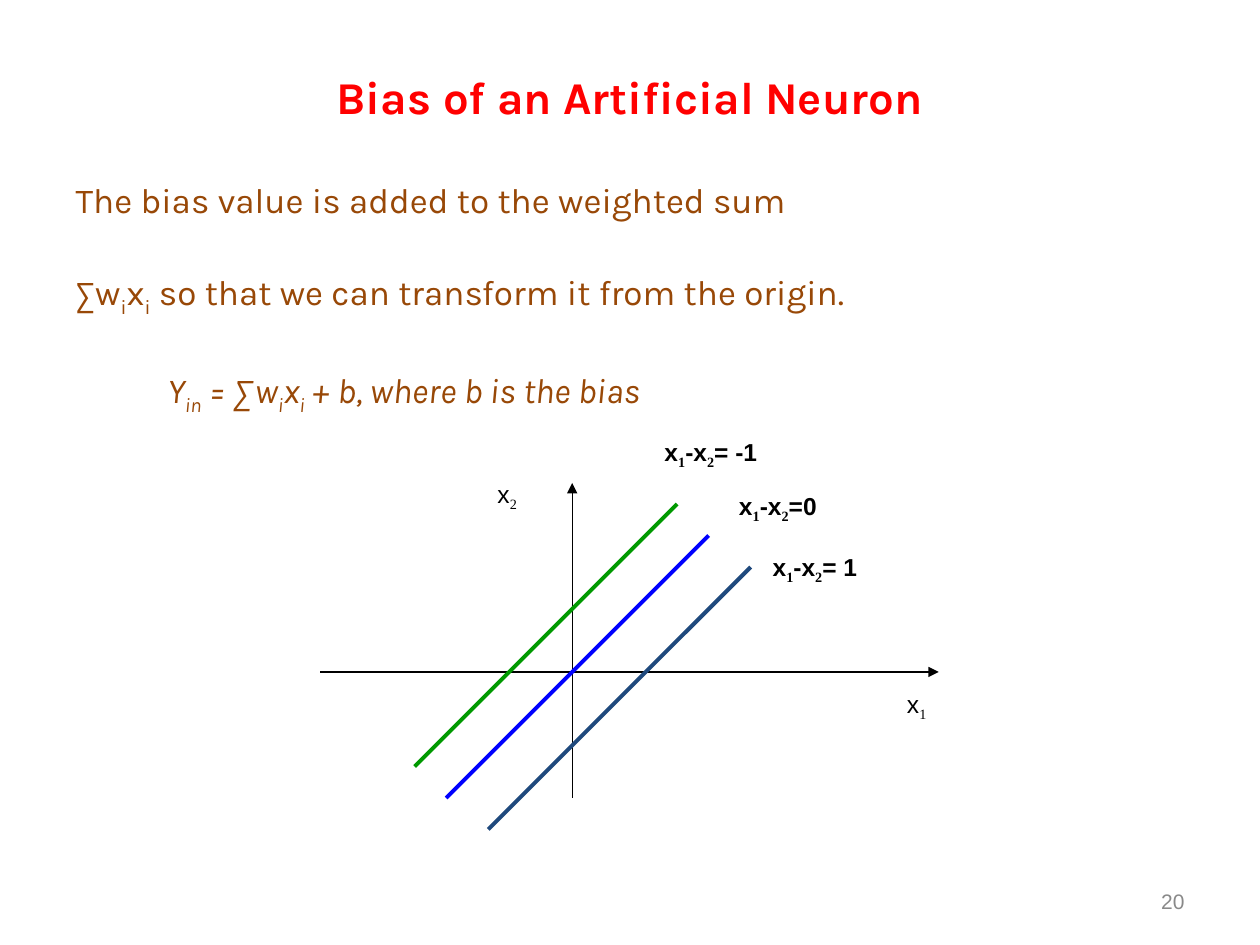
from lxml import etree
from pptx import Presentation
from pptx.dml.color import RGBColor
from pptx.enum.shapes import MSO_CONNECTOR
from pptx.enum.text import MSO_ANCHOR, MSO_AUTO_SIZE, PP_ALIGN
from pptx.oxml.ns import qn
from pptx.util import Inches, Pt

STRAIGHT = MSO_CONNECTOR.STRAIGHT
TOP, MIDDLE = MSO_ANCHOR.TOP, MSO_ANCHOR.MIDDLE
NO_FIT = MSO_AUTO_SIZE.NONE
LEFT, CENTER, RIGHT = PP_ALIGN.LEFT, PP_ALIGN.CENTER, PP_ALIGN.RIGHT

COLORS = {
    "title": "FF0000",
    "body": "984807",
    "ink": "000000",
    "number": "898989",
    "green": "009900",
    "blue": "0000FF",
    "navy": "1F497D",
}
FORMATS = {
    "title": {"name": "Karla", "size": Pt(26), "bold": True},
    "body": {"name": "Karla", "size": Pt(20)},
    "formula": {"name": "Karla", "size": Pt(20), "italic": True},
    "axis": {"name": "Arial", "size": Pt(14)},
    "line": {"name": "Arial", "size": Pt(14), "bold": True},
    "number": {"name": "Arial", "size": Pt(12)},
}
COLUMNS, ROWS = 120, 90


class SlideBuilder:
    def __init__(self, presentation):
        self.cell_width = presentation.slide_width / COLUMNS
        self.cell_height = presentation.slide_height / ROWS
        self.slide = presentation.slides.add_slide(presentation.slide_layouts[1])

    def place(self, column, row):
        return round(column * self.cell_width), round(row * self.cell_height)

    def frame(self, shape, box, anchor=TOP):
        shape.left, shape.top = self.place(*box[:2])
        shape.width, shape.height = self.place(*box[2:])
        text_frame = shape.text_frame
        text_frame.auto_size = NO_FIT
        text_frame.word_wrap = True
        text_frame.vertical_anchor = anchor
        return text_frame

    def add_text(self, paragraph, text, style, color, alignment=LEFT, subscript_font=None):
        paragraph.alignment = alignment
        for index, piece in enumerate(text.split("|")):
            run = paragraph.add_run()
            run.text = piece
            for attribute, value in FORMATS[style].items():
                setattr(run.font, attribute, value)
            run.font.color.rgb = RGBColor.from_string(COLORS[color])
            if index % 2:
                run._r.get_or_add_rPr().set("baseline", "-25000")
                run.font.name = subscript_font or run.font.name

    def title(self, text, box):
        text_frame = self.frame(self.slide.shapes.title, box)
        self.add_text(text_frame.paragraphs[0], text, "title", "title", CENTER)

    def body(self, lines, box):
        text_frame = self.frame(self.slide.placeholders[1], box)
        for index, (text, style, indent) in enumerate(lines):
            paragraph = text_frame.add_paragraph() if index else text_frame.paragraphs[0]
            properties = paragraph._p.get_or_add_pPr()
            properties.set("marL", str(Inches(indent)))
            properties.set("indent", "0")
            etree.SubElement(properties, qn("a:buNone"))
            paragraph.line_spacing = 1.1
            paragraph.space_before = Pt(26 if index else 0)
            self.add_text(paragraph, text, style, "body")

    def label(self, text, box, style, color="ink", alignment=LEFT, anchor=TOP):
        shape = self.slide.shapes.add_textbox(0, 0, 0, 0)
        text_frame = self.frame(shape, box, anchor)
        self.add_text(text_frame.paragraphs[0], text, style, color, alignment, "Times New Roman")

    def line(self, start, end, color, width, arrow=False):
        connector = self.slide.shapes.add_connector(
            STRAIGHT, *self.place(*start), *self.place(*end))
        connector.line.color.rgb = RGBColor.from_string(COLORS[color])
        connector.line.width = Pt(width)
        properties = connector._element.spPr
        if arrow:
            etree.SubElement(properties.find(qn("a:ln")), qn("a:tailEnd"), type="triangle")
        etree.SubElement(properties, qn("a:effectLst"))


def main():
    presentation = Presentation()
    presentation.slide_width, presentation.slide_height = Inches(10), Inches(7.5)
    builder = SlideBuilder(presentation)

    builder.title("Bias of an Artificial Neuron", (6, 6, 108, 6.5))
    builder.body([
        ("The bias value is added to the weighted sum", "body", 0),
        ("∑w|i|x|i| so that we can transform it from the origin.", "body", 0),
        ("Y|in| = ∑w|i|x|i| + b, where b is the bias", "formula", 0.73),
    ], (6, 16, 108, 30))

    builder.line((30.5, 64), (89.4, 64), "ink", 0.75, arrow=True)
    builder.line((54.5, 76), (54.5, 46), "ink", 0.75, arrow=True)

    run = 25
    for column, row, color in [(64.5, 48, "green"), (67.5, 51, "blue"), (71.5, 54, "navy")]:
        builder.line((column, row), (column - run, row + run), color, 2.25)

    for text, column, row, style in [
        ("x|1|-x|2|=0", 69.2, 46.2, "line"),
        ("x|1|-x|2|= 1", 72.4, 52, "line"),
        ("x|1", 85.2, 65, "axis"),
        ("x|2", 46.2, 45, "axis"),
        ("x|1|-x|2|= -1", 62.1, 41, "line"),
    ]:
        width = 14 if style == "line" else 6
        builder.label(text, (column, row, width, 4.4), style)

    builder.label("20", (86, 83.4, 28, 4.8), "number", "number", RIGHT, MIDDLE)
    presentation.save("out.pptx")


if __name__ == "__main__":
    main()
